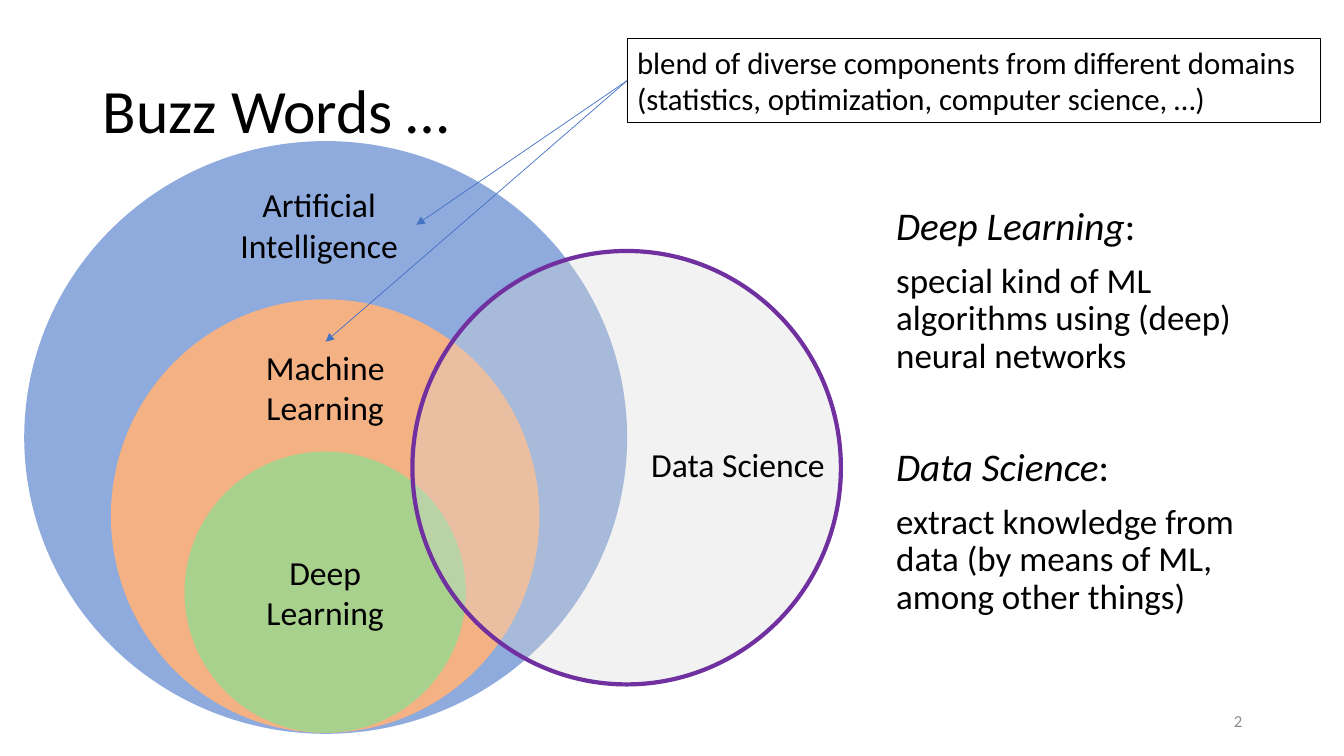
from dataclasses import dataclass

from lxml import etree
from pptx import Presentation
from pptx.dml.color import RGBColor
from pptx.enum.shapes import MSO_CONNECTOR as Connector, MSO_SHAPE as Preset
from pptx.enum.text import MSO_ANCHOR as Anchor, PP_ALIGN as Align
from pptx.oxml.ns import qn
from pptx.util import Inches, Pt

FONT = "Calibri"
BLACK = RGBColor(0x00, 0x00, 0x00)
GRAY = RGBColor(0x8C, 0x8C, 0x8C)
LIGHT_GRAY = RGBColor(0xD9, 0xD9, 0xD9)
BLUE = RGBColor(0x8F, 0xAA, 0xDC)
ORANGE = RGBColor(0xF4, 0xB1, 0x83)
GREEN = RGBColor(0xA9, 0xD1, 0x8E)
PURPLE = RGBColor(0x70, 0x30, 0xA0)
ARROW_BLUE = RGBColor(0x44, 0x72, 0xC4)

Box = tuple[float, float, float, float]


@dataclass
class Circle:
    box: Box
    fill: RGBColor
    opacity: int = 100
    outline: RGBColor | None = None


@dataclass
class Label:
    text: str
    box: Box
    size: float = 24
    align: Align = Align.CENTER
    anchor: Anchor = Anchor.TOP
    color: RGBColor = BLACK
    line_spacing: float = 1.0


@dataclass
class Definition:
    term: str
    meaning: str
    space_before: float


CIRCLES = [
    Circle((0.24, 1.4, 5.98, 5.88), BLUE),
    Circle((1.1, 2.97, 4.25, 4.3), ORANGE),
    Circle((1.83, 4.48, 2.79, 2.79), GREEN),
    Circle((4.09, 2.49, 4.25, 4.3), LIGHT_GRAY, 34, PURPLE),
]
LABELS = [
    Label("Buzz Words …", (0.92, 0.4, 11.5, 1.45), 44, Align.LEFT, Anchor.MIDDLE,
          line_spacing=0.9),
    Label("Artificial Intelligence", (2.19, 1.78, 1.95, 0.91)),
    Label("Machine Learning", (2.35, 3.39, 1.75, 0.91)),
    Label("Deep\nLearning", (1.83, 4.48, 2.79, 2.79), anchor=Anchor.MIDDLE),
    Label("Data Science", (6.36, 4.35, 2.04, 0.5), align=Align.LEFT),
    Label("2", (9.42, 6.95, 3, 0.4), 12, Align.RIGHT, Anchor.MIDDLE, GRAY),
]
CALLOUT = Label(
    "blend of diverse components from different domains "
    "(statistics, optimization, computer science, …)",
    (6.22, 0.38, 6.88, 0.84), 22, Align.LEFT)
ARROW_TIPS = [(4.13, 2.23), (3.23, 3.39)]
DEFINITIONS_BOX = (8.79, 2, 3.62, 4.76)
DEFINITIONS = [
    Definition("Deep Learning",
               "special kind of ML algorithms using (deep) neural networks", 0),
    Definition("Data Science",
               "extract knowledge from data (by means of ML, among other things)", 51),
]


def inches(box: Box) -> list[int]:
    return [Inches(length) for length in box]


def style_font(font, size: float, color: RGBColor = BLACK) -> None:
    font.name = FONT
    font.size = Pt(size)
    font.color.rgb = color


def write_text(shape, label: Label) -> None:
    text_frame = shape.text_frame
    text_frame.word_wrap = True
    text_frame.vertical_anchor = label.anchor
    text_frame.text = label.text
    for paragraph in text_frame.paragraphs:
        paragraph.alignment = label.align
        paragraph.line_spacing = label.line_spacing
        for run in paragraph.runs:
            style_font(run.font, label.size, label.color)


def add_circle(slide, circle: Circle) -> None:
    shape = slide.shapes.add_shape(Preset.OVAL, *inches(circle.box))
    shape.shadow.inherit = False
    shape.fill.solid()
    shape.fill.fore_color.rgb = circle.fill
    if circle.opacity < 100:
        color = shape.fill._xPr.find(qn("a:solidFill"))[0]
        etree.SubElement(color, qn("a:alpha"), val=str(circle.opacity * 1000))
    if circle.outline is None:
        shape.line.fill.background()
    else:
        shape.line.color.rgb = circle.outline
        shape.line.width = Pt(3)


def add_callout(slide, label: Label):
    shape = slide.shapes.add_shape(Preset.RECTANGLE, *inches(label.box))
    shape.shadow.inherit = False
    shape.fill.background()
    shape.line.color.rgb = BLACK
    shape.line.width = Pt(0.75)
    write_text(shape, label)
    return shape


def add_arrow(slide, callout, tip: tuple[float, float]) -> None:
    """Draw an arrow from the middle of the callout's left side to the tip."""
    end_x, end_y = map(Inches, tip)
    arrow = slide.shapes.add_connector(Connector.STRAIGHT, 0, 0, end_x, end_y)
    arrow.begin_connect(callout, 1)
    arrow.line.color.rgb = ARROW_BLUE
    arrow.line.width = Pt(0.5)
    etree.SubElement(arrow.line._get_or_add_ln(), qn("a:tailEnd"), type="triangle")
    etree.SubElement(arrow._element.spPr, qn("a:effectLst"))


def add_definitions(slide, box: Box, definitions: list[Definition]) -> None:
    text_frame = slide.shapes.add_textbox(*inches(box)).text_frame
    text_frame.word_wrap = True
    for index, definition in enumerate(definitions):
        heading = text_frame.add_paragraph() if index else text_frame.paragraphs[0]
        heading.line_spacing = 0.9
        heading.space_before = Pt(definition.space_before)
        for text, italic in ((definition.term, True), (":", False)):
            run = heading.add_run()
            run.text = text
            style_font(run.font, 28)
            run.font.italic = italic
        meaning = text_frame.add_paragraph()
        meaning.text = definition.meaning
        meaning.line_spacing = 0.9
        meaning.space_before = Pt(10)
        style_font(meaning.runs[0].font, 25)


def main() -> None:
    presentation = Presentation()
    presentation.slide_width = Inches(13.33)
    presentation.slide_height = Inches(7.5)
    slide = presentation.slides.add_slide(presentation.slide_layouts[6])
    for circle in CIRCLES:
        add_circle(slide, circle)
    for label in LABELS:
        write_text(slide.shapes.add_textbox(*inches(label.box)), label)
    add_definitions(slide, DEFINITIONS_BOX, DEFINITIONS)
    callout = add_callout(slide, CALLOUT)
    for tip in ARROW_TIPS:
        add_arrow(slide, callout, tip)
    presentation.save("out.pptx")


if __name__ == "__main__":
    main()
